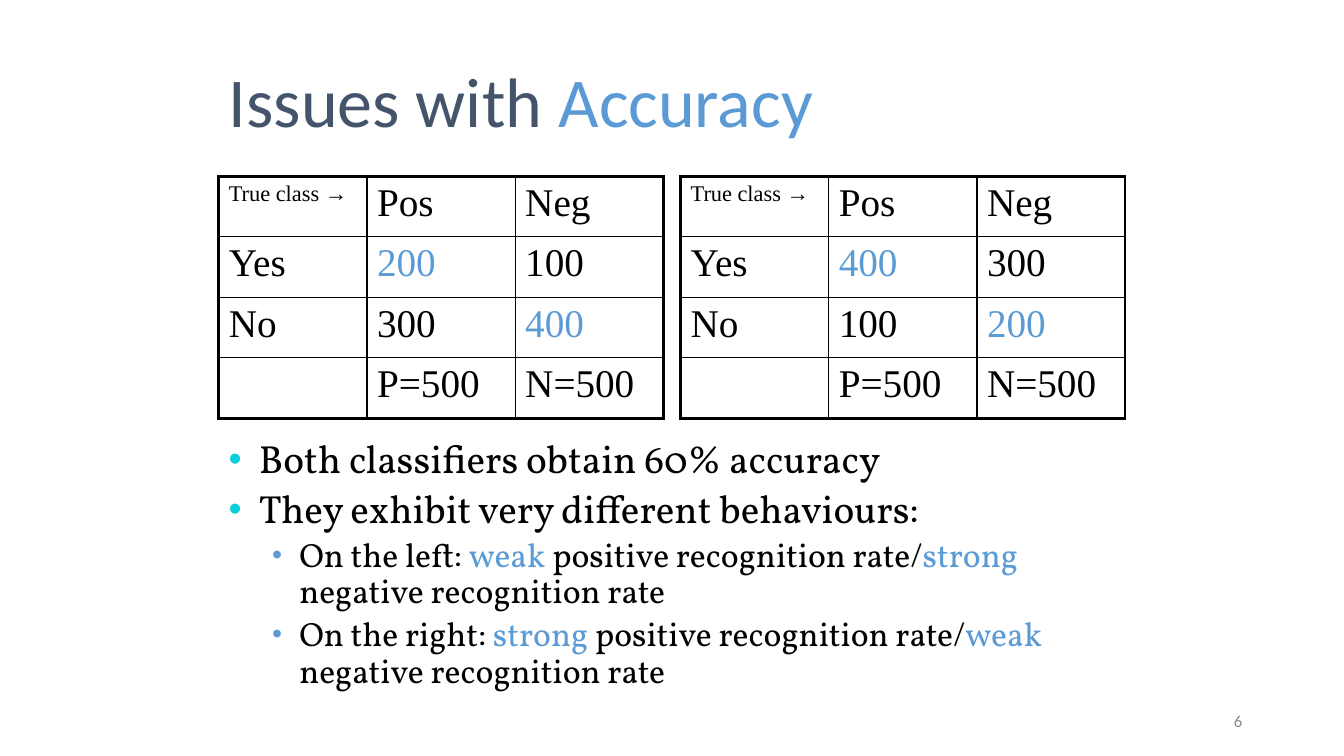
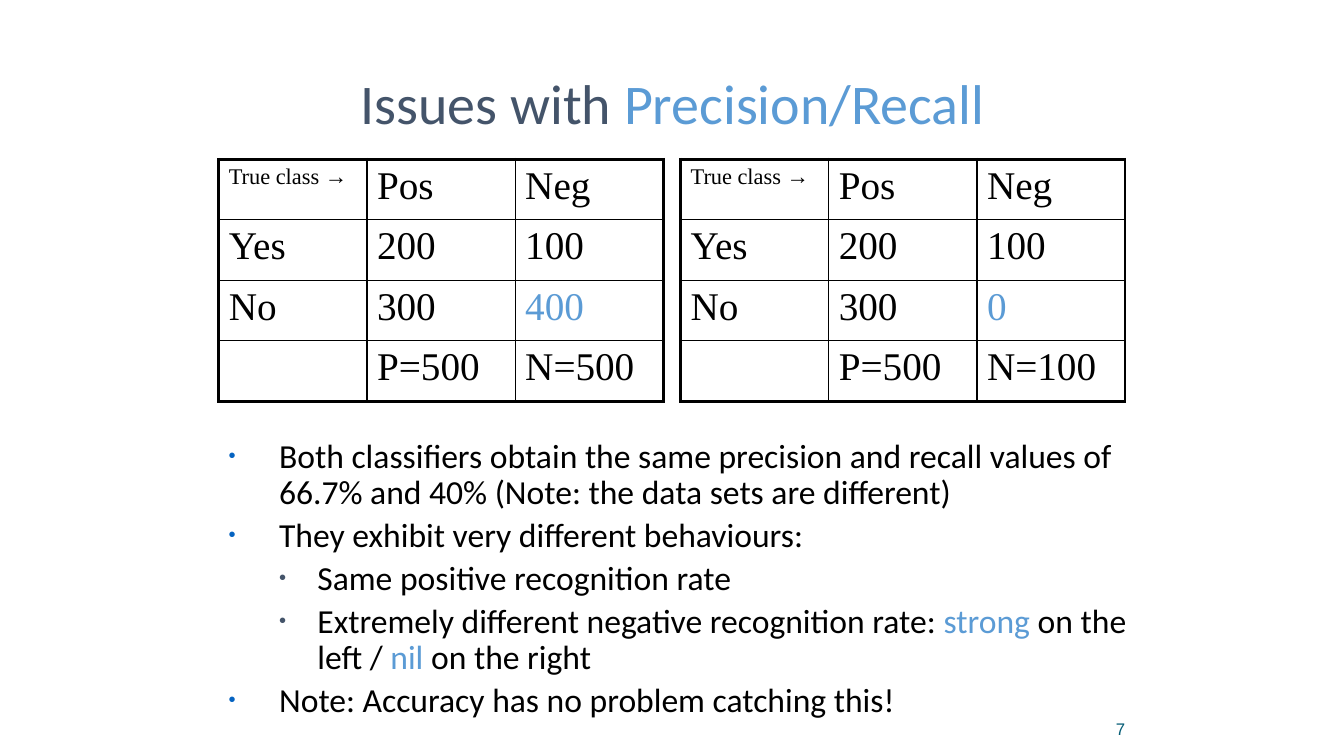
from lxml import etree
from pptx import Presentation
from pptx.dml.color import RGBColor
from pptx.enum.text import MSO_ANCHOR, MSO_AUTO_SIZE, PP_ALIGN
from pptx.oxml.ns import qn
from pptx.util import Inches, Pt

LEFT, CENTER, RIGHT = PP_ALIGN.LEFT, PP_ALIGN.CENTER, PP_ALIGN.RIGHT
TOP, MIDDLE, BOTTOM = MSO_ANCHOR.TOP, MSO_ANCHOR.MIDDLE, MSO_ANCHOR.BOTTOM
NO_AUTOFIT = MSO_AUTO_SIZE.NONE

COLORS = {
    "text": "000000",
    "title": "44546A",
    "accent": "5B9BD5",
    "aqua": "0BD0D9",
    "blue": "0563C1",
    "grey": "8C8C8C",
    "teal": "045C75",
}
TITLE_FONT, TABLE_FONT = "Calibri", "Times New Roman"
TABLE_LEFTS = (2.17, 6.75)
COLUMN_WIDTH, ROW_HEIGHT = 1.47, 0.6
OUTER_LINE, INNER_LINE = 2.25, 1

# Text between asterisks takes the accent colour.
SLIDES = [
    {
        "title": "Issues with *Accuracy*",
        "title_box": (2.17, 0.52, 9, 1.25),
        "title_style": (50, LEFT, TOP),
        "table_top": 1.75,
        "tables": [
            [("Yes", "*200*", "100"), ("No", "300", "*400*"), ("", "P=500", "N=500")],
            [("Yes", "*400*", "300"), ("No", "100", "*200*"), ("", "P=500", "N=500")],
        ],
        "body_width": 9,
        "body_font": "Vollkorn",
        # per level: text size, left indent, hanging, bullet colour, bullet percent
        "levels": [(28, 0.3, 0.3, "aqua", 95), (24, 0.7, 0.27, "accent", 85)],
        "points": [
            (0, "Both classifiers obtain 60% accuracy"),
            (0, "They exhibit very different behaviours:"),
            (1, "On the left: *weak *positive recognition rate/*strong *negative recognition rate"),
            (1, "On the right: *strong* positive recognition rate/*weak *negative recognition rate"),
        ],
        "number": "6",
        "number_box": (9.42, 6.95, 3, 0.4),
        "number_style": ("Calibri", "grey", MIDDLE, 0.1),
    },
    {
        "title": "Issues with *Precision/Recall*",
        "title_box": (1.67, 0.29, 10, 1.45),
        "title_style": (40, CENTER, MIDDLE),
        "table_top": 1.58,
        "tables": [
            [("Yes", "200", "100"), ("No", "300", "*400*"), ("", "P=500", "N=500")],
            [("Yes", "200", "100"), ("No", "300", "*0*"), ("", "P=500", "N=100")],
        ],
        "body_width": 9.5,
        "body_font": "Calibri",
        "levels": [(24, 0.5, 0.5, "blue", 60), (24, 0.88, 0.38, "title", 60)],
        "points": [
            (0, "Both classifiers obtain the same precision and recall values of "
                "66.7% and 40% (Note: the data sets are different)"),
            (0, "They exhibit very different behaviours:"),
            (1, "Same positive recognition rate"),
            (1, "Extremely different negative recognition rate: *strong *on the left / *nil* on the right"),
            (0, "Note: Accuracy has no problem catching this!"),
        ],
        "number": "7",
        "number_box": (8.83, 6.83, 2.33, 0.5),
        "number_style": ("Arial", "teal", BOTTOM, 0),
    },
]


def write_marked(paragraph, marked, font, size, color):
    """Add runs to the paragraph, with the parts between asterisks in the accent colour."""
    for index, part in enumerate(marked.split("*")):
        if part:
            run = paragraph.add_run()
            run.text = part
            run.font.name = font
            run.font.size = Pt(size)
            run.font.color.rgb = RGBColor.from_string(COLORS["accent" if index % 2 else color])


def add_child(parent, tag, **attributes):
    child = etree.SubElement(parent, qn(tag))
    for name, value in attributes.items():
        child.set(name, str(value))
    return child


prs = Presentation()
prs.slide_width, prs.slide_height = Inches(13.33), Inches(7.5)
title_only = prs.slide_layouts[5]

for content in SLIDES:
    slide = prs.slides.add_slide(title_only)

    title = slide.shapes.title
    title.left, title.top, title.width, title.height = map(Inches, content["title_box"])
    title_size, title_align, title_anchor = content["title_style"]
    title.text_frame.auto_size = NO_AUTOFIT
    title.text_frame.vertical_anchor = title_anchor
    heading = title.text_frame.paragraphs[0]
    heading.alignment = title_align
    write_marked(heading, content["title"], TITLE_FONT, title_size, "title")

    for left, counts in zip(TABLE_LEFTS, content["tables"]):
        rows = [("True class →", "Pos", "Neg")] + counts
        last_row, last_column = len(rows) - 1, len(rows[0]) - 1
        matrix = slide.shapes.add_table(
            len(rows), len(rows[0]), Inches(left), Inches(content["table_top"]),
            Inches(COLUMN_WIDTH * len(rows[0])), Inches(ROW_HEIGHT * len(rows))).table
        matrix.first_row = matrix.horz_banding = False
        for r, row in enumerate(rows):
            for c, entry in enumerate(row):
                cell = matrix.cell(r, c)
                size = 16 if r == c == 0 else 28
                write_marked(cell.text_frame.paragraphs[0], entry, TABLE_FONT, size, "text")
                properties = cell._tc.get_or_add_tcPr()
                on_edge = {"a:lnL": c == 0, "a:lnR": c == last_column,
                           "a:lnT": r == 0, "a:lnB": r == last_row}
                for side, outer in on_edge.items():
                    line = add_child(properties, side, w=Pt(OUTER_LINE if outer else INNER_LINE))
                    add_child(add_child(line, "a:solidFill"), "a:srgbClr", val=COLORS["text"])
                cell.fill.background()

    body = slide.shapes.add_textbox(
        Inches(2.17), Inches(4.31), Inches(content["body_width"]), Inches(2.77)).text_frame
    body.word_wrap = True
    for index, (level, point) in enumerate(content["points"]):
        paragraph = body.add_paragraph() if index else body.paragraphs[0]
        size, indent, hanging, bullet_color, bullet_percent = content["levels"][level]
        paragraph.level = level
        paragraph.line_spacing = 0.9
        paragraph.space_before = Pt(size * 0.2)
        write_marked(paragraph, point, content["body_font"], size, "text")
        properties = paragraph._p.get_or_add_pPr()
        properties.set("marL", str(Inches(indent)))
        properties.set("indent", str(-Inches(hanging)))
        add_child(add_child(properties, "a:buClr"), "a:srgbClr", val=COLORS[bullet_color])
        add_child(properties, "a:buSzPct", val=bullet_percent * 1000)
        add_child(properties, "a:buFont", typeface="Arial")
        add_child(properties, "a:buChar", char="•")

    number_font, number_color, number_anchor, inset = content["number_style"]
    page_number = slide.shapes.add_textbox(*map(Inches, content["number_box"])).text_frame
    page_number.word_wrap = True
    page_number.vertical_anchor = number_anchor
    page_number.margin_left = page_number.margin_right = Inches(inset)
    page_number.margin_top = page_number.margin_bottom = Inches(inset / 2)
    page_number.paragraphs[0].alignment = RIGHT
    write_marked(page_number.paragraphs[0], content["number"], number_font, 12, number_color)

prs.save("out.pptx")
